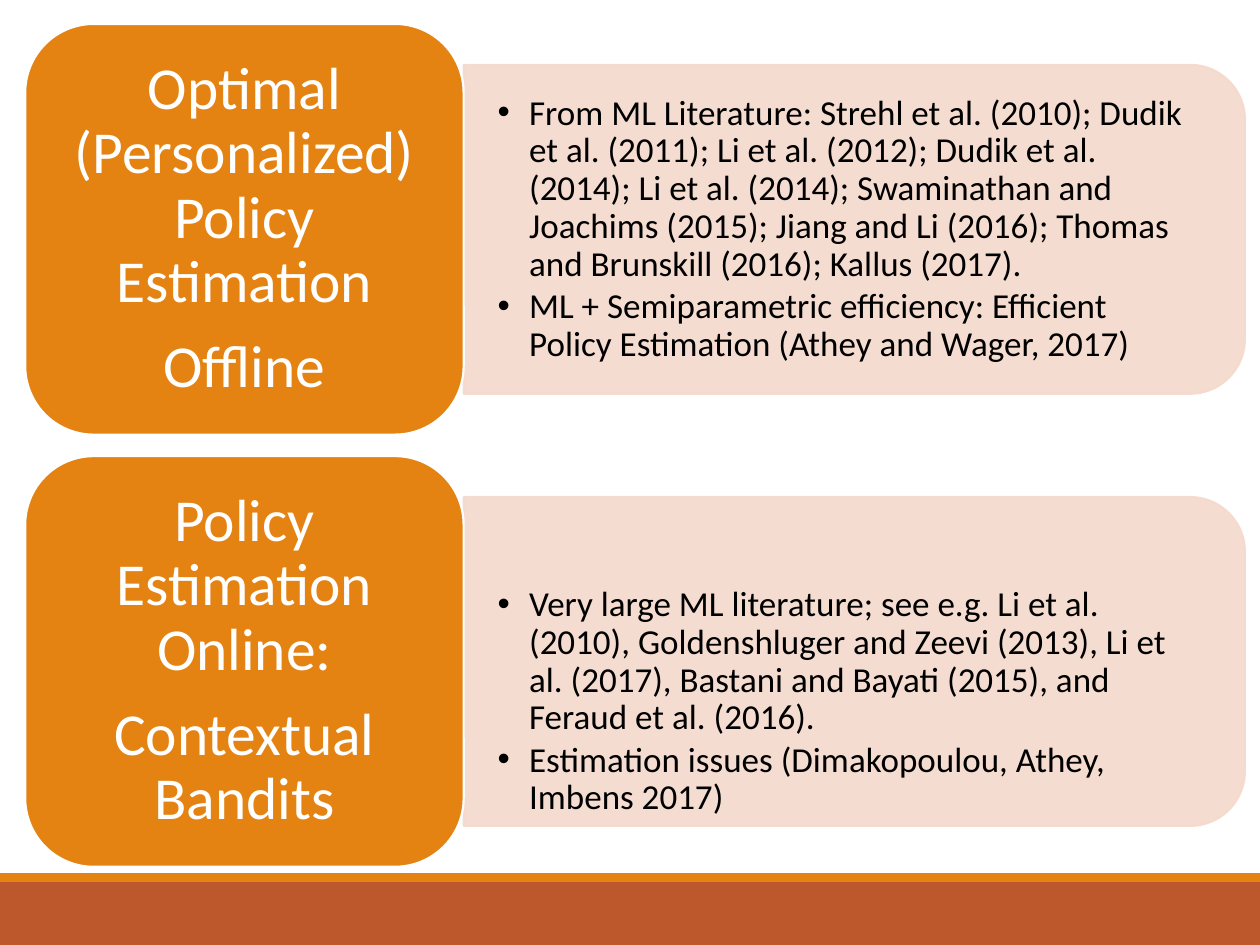
"""Builds a slide that pairs two policy estimation topics with their literature."""
from lxml.etree import SubElement
from pptx import Presentation
from pptx.dml.color import RGBColor
from pptx.enum.shapes import MSO_SHAPE as SHAPE
from pptx.enum.text import MSO_ANCHOR as ANCHOR, PP_ALIGN as ALIGN
from pptx.oxml.ns import qn
from pptx.util import Inches, Pt

COLORS = {"orange": "E48312", "rust": "BD582C", "blush": "F5D9CC",
          "white": "FFFFFF", "black": "000000"}
FONT = "Calibri"
LABEL_LEFT, LABEL_TOP, LABEL_WIDTH, LABEL_HEIGHT = 0.2, 0.19, 3.48, 3.26
ROW_PITCH = 3.43
PANEL_LEFT = LABEL_LEFT + LABEL_WIDTH
PANEL_LENGTH, PANEL_HEIGHT = 6.2, 2.61
BULLETS_WIDTH, BULLETS_HEIGHT = 6.07, 2.35
TOPICS = [
    {
        "label": ["Optimal (Personalized) Policy Estimation", "Offline"],
        "bullets": [
            "From ML Literature: Strehl et al. (2010); Dudik et al. (2011); "
            "Li et al. (2012); Dudik et al. (2014); Li et al. (2014); "
            "Swaminathan and Joachims (2015); Jiang and Li (2016); "
            "Thomas and Brunskill (2016); Kallus (2017).",
            "ML + Semiparametric efficiency: Efficient Policy Estimation "
            "(Athey and Wager, 2017)",
        ],
        "drop": 0,
    },
    {
        "label": ["Policy Estimation Online:", "Contextual Bandits"],
        "bullets": [
            "Very large ML literature; see e.g. Li et al. (2010), "
            "Goldenshluger and Zeevi (2013), Li et al. (2017), "
            "Bastani and Bayati (2015), and Feraud et al. (2016).",
            "Estimation issues (Dimakopoulou, Athey, Imbens 2017)",
        ],
        "drop": 0.32,
    },
]


def rgb(name):
    return RGBColor.from_string(COLORS[name])


def add_block(slide, kind, box, fill, line=None):
    shape = slide.shapes.add_shape(kind, *map(Inches, box))
    shape.shadow.inherit = False
    shape.fill.solid()
    shape.fill.fore_color.rgb = rgb(fill)
    if line:
        shape.line.color.rgb = rgb(line)
        shape.line.width = Pt(1.25)
    else:
        shape.line.fill.background()
    return shape


def set_opacity(shape, percent):
    for color in shape._element.spPr.iter(qn("a:srgbClr")):
        SubElement(color, qn("a:alpha"), val=str(percent * 1000))


def set_bullet(paragraph):
    properties = paragraph._p.get_or_add_pPr()
    properties.set("marL", str(Inches(0.25)))
    properties.set("indent", str(-Inches(0.25)))
    SubElement(properties, qn("a:buFont"), typeface="Arial")
    SubElement(properties, qn("a:buChar"), char="•")


def write_paragraphs(shape, texts, size, color, align, gap, insets):
    frame = shape.text_frame
    frame.word_wrap = True
    frame.vertical_anchor = ANCHOR.MIDDLE
    frame.margin_left = frame.margin_right = Inches(insets[0])
    frame.margin_top = frame.margin_bottom = Inches(insets[1])
    for index, text in enumerate(texts):
        paragraph = frame.add_paragraph() if index else frame.paragraphs[0]
        paragraph.alignment = align
        paragraph.line_spacing = 0.9
        paragraph.space_after = Pt(gap)
        run = paragraph.add_run()
        run.text = text
        run.font.name = FONT
        run.font.size = Pt(size)
        run.font.color.rgb = rgb(color)
    return frame.paragraphs


def add_panel(slide, middle):
    box = (PANEL_LEFT + (PANEL_LENGTH - PANEL_HEIGHT) / 2,
           middle - PANEL_LENGTH / 2, PANEL_HEIGHT, PANEL_LENGTH)
    panel = add_block(slide, SHAPE.ROUND_2_SAME_RECTANGLE, box, "blush", "blush")
    panel.rotation = 90
    set_opacity(panel, 90)


def add_bullets(slide, texts, middle):
    box = (PANEL_LEFT, middle - BULLETS_HEIGHT / 2, BULLETS_WIDTH, BULLETS_HEIGHT)
    textbox = slide.shapes.add_textbox(*map(Inches, box))
    for paragraph in write_paragraphs(textbox, texts, 20, "black", ALIGN.LEFT,
                                      2.5, (0.27, 0.14)):
        set_bullet(paragraph)


def add_label(slide, texts, top):
    box = (LABEL_LEFT, top, LABEL_WIDTH, LABEL_HEIGHT)
    label = add_block(slide, SHAPE.ROUNDED_RECTANGLE, box, "orange", "white")
    write_paragraphs(label, texts, 34, "white", ALIGN.CENTER, 12, (0.14, 0.07))


def main():
    presentation = Presentation()
    presentation.slide_width, presentation.slide_height = Inches(10), Inches(7.5)
    slide = presentation.slides.add_slide(presentation.slide_layouts[6])
    add_block(slide, SHAPE.RECTANGLE, (0, 7, 10, 0.5), "rust")
    add_block(slide, SHAPE.RECTANGLE, (0, 6.93, 10, 0.07), "orange")
    for row, topic in enumerate(TOPICS):
        top = LABEL_TOP + row * ROW_PITCH
        middle = top + LABEL_HEIGHT / 2
        add_panel(slide, middle)
        add_bullets(slide, topic["bullets"], middle + topic["drop"])
        add_label(slide, topic["label"], top)
    presentation.save("out.pptx")


if __name__ == "__main__":
    main()
